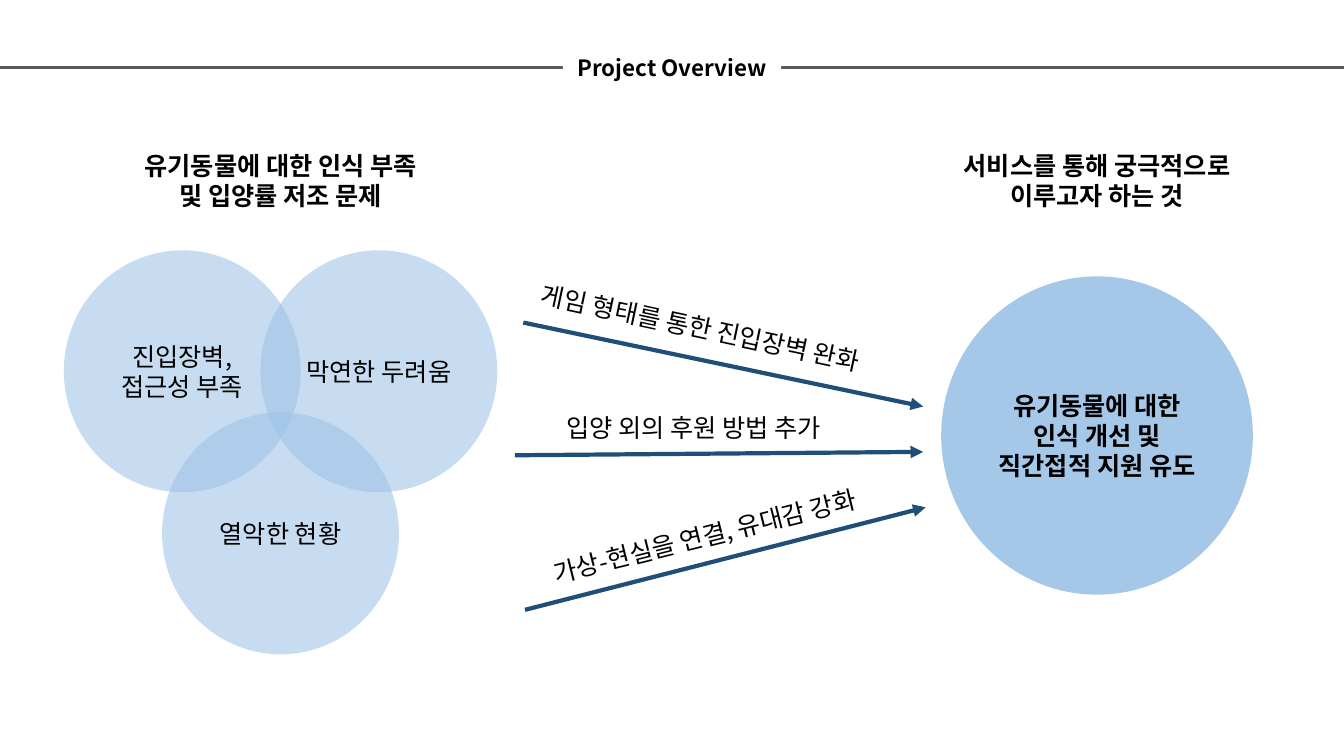
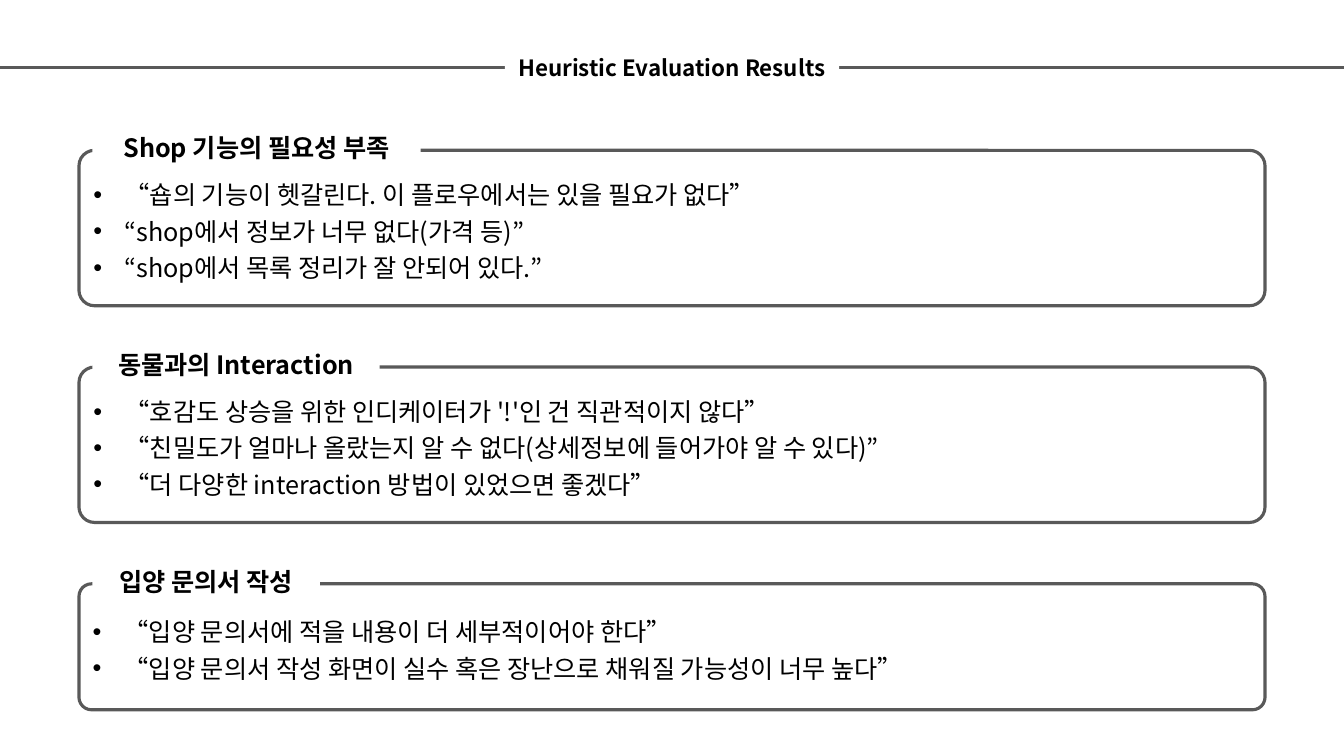
"""Build the project overview and heuristic evaluation slides."""
from dataclasses import dataclass

from lxml import etree
from pptx import Presentation, util as u
from pptx.dml.color import RGBColor
from pptx.enum import dml, shapes, text
from pptx.oxml.ns import qn

COLUMNS, ROWS = 16, 9


@dataclass(frozen=True)
class Theme:
    """Colours, type sizes and line widths shared by the slides."""
    font: str = "Noto Sans CJK KR"
    ink: str = "000000"
    paper: str = "FFFFFF"
    rule: str = "595959"
    circle: str = "9DC3E6"
    arrow: str = "1F4E79"
    title_size: float = 16
    body_size: float = 18
    rule_width: float = 2.25
    arrow_width: float = 3


THEME = Theme()


def grid(cells):
    """Convert square grid cells, 16 by 9 on the slide, to a length."""
    return u.Emu(round(cells * u.Inches(7.5) / ROWS))


def child(parent, tag, **attributes):
    """Append a DrawingML element and return it."""
    return etree.SubElement(parent, qn(tag), attributes)


def paint(shape, fill=None, opacity=100, line=None):
    """Set the fill and outline of a shape."""
    if fill:
        shape.fill.solid()
        shape.fill.fore_color.rgb = RGBColor.from_string(fill)
        if opacity < 100:
            color = shape.fill._xPr.find(qn("a:solidFill"))[0]
            child(color, "a:alpha", val=str(opacity * 1000))
    else:
        shape.fill.background()
    if line:
        shape.line.color.rgb = RGBColor.from_string(line)
        shape.line.width = u.Pt(THEME.rule_width)
    else:
        shape.line.fill.background()


def add_bullet(para):
    """Give a paragraph a hanging bullet and open line spacing."""
    para.line_spacing = 1.2
    properties = para._p.get_or_add_pPr()
    indent = u.Inches(0.31)
    properties.set("marL", str(indent))
    properties.set("indent", str(-indent))
    child(properties, "a:buFont", typeface="Arial")
    child(properties, "a:buChar", char="•")


def write(shape, lines, size=THEME.body_size, bold=False, bullets=False,
          anchor=text.MSO_ANCHOR.TOP):
    """Write one paragraph per line into a shape."""
    frame = shape.text_frame
    frame.word_wrap = True
    frame.auto_size = text.MSO_AUTO_SIZE.NONE
    frame.vertical_anchor = anchor
    for index, line in enumerate(lines):
        para = frame.add_paragraph() if index else frame.paragraphs[0]
        para.alignment = text.PP_ALIGN.LEFT if bullets else text.PP_ALIGN.CENTER
        if bullets:
            add_bullet(para)
        span = para.add_run()
        span.text = line
        span.font.size, span.font.bold = u.Pt(size), bold
        span.font.color.rgb = RGBColor.from_string(THEME.ink)
        span.font.name = THEME.font
        child(span._r.get_or_add_rPr(), "a:ea", typeface=THEME.font)


def add_box(page, kind, left, top, width, height):
    """Add a preset shape without a shadow."""
    box = page.shapes.add_shape(kind, *map(grid, (left, top, width, height)))
    box.shadow.inherit = False
    return box


def add_line(page, start, end, color, width, arrow=False):
    """Add a straight line, with an arrowhead at its end if wanted."""
    line = page.shapes.add_connector(
        shapes.MSO_CONNECTOR.STRAIGHT, *map(grid, (*start, *end)))
    line.line.color.rgb = RGBColor.from_string(color)
    line.line.width = u.Pt(width)
    line.line.dash_style = dml.MSO_LINE.SOLID
    if arrow:
        child(line.line._get_or_add_ln(), "a:tailEnd", type="triangle")
    child(line._element.spPr, "a:effectLst")
    return line


def add_page(deck, title, width):
    """Add a slide whose title interrupts a full-width rule."""
    page = deck.slides.add_slide(deck.slide_layouts[5])
    rule = add_line(page, (0, 0.8), (COLUMNS, 0.8), THEME.rule, THEME.rule_width)
    box = page.shapes.title
    box._element.addprevious(rule._element)
    box.left, box.top = grid((COLUMNS - width) / 2), grid(0.59)
    box.width, box.height = grid(width), grid(0.44)
    paint(box, THEME.paper)
    write(box, [title], THEME.title_size, bold=True)
    return page


def add_circle(page, center, top, width, height, label, opacity, bold=False):
    """Add a translucent circle around a label."""
    circle = add_box(page, shapes.MSO_SHAPE.OVAL,
                     center - width / 2, top, width, height)
    paint(circle, THEME.circle, opacity)
    write(circle, [label], bold=bold, anchor=text.MSO_ANCHOR.MIDDLE)


def add_heading(page, left, top, width, height, lines):
    """Add a bold heading on a white box."""
    heading = add_box(page, shapes.MSO_SHAPE.RECTANGLE, left, top, width, height)
    paint(heading, THEME.paper)
    write(heading, lines, bold=True)


def add_label(page, center, middle, label, rotation):
    """Add an arrow label turned about its centre."""
    width, height = 7.08, 0.48
    box = page.shapes.add_textbox(*map(grid, (
        center - width / 2, middle - height / 2, width, height)))
    box.rotation = rotation
    write(box, [label])


def add_panel(page, top, legend, legend_width, quotes):
    """Add a rounded panel of quotes with a legend on its top edge."""
    panel = add_box(page, shapes.MSO_SHAPE.ROUNDED_RECTANGLE,
                    0.94, top, 14.12, 0.8 + 0.35 * len(quotes))
    panel.adjustments[0] = 0.1
    paint(panel, line=THEME.rule)
    write(panel, quotes, bullets=True, anchor=text.MSO_ANCHOR.MIDDLE)
    add_heading(page, 1.1, top - 0.27, legend_width, 0.48, [legend])


def build_overview(deck):
    """Lead from three overlapping problems to the goal."""
    page = add_page(deck, "Project Overview", 2.6)
    problem, goal, offset = 3.34, 13.06, 1.17
    for center, top, label in (
            (problem - offset, 2.98, "진입장벽, 접근성 부족"),
            (problem + offset, 2.98, "막연한 두려움"),
            (problem, 4.91, "열악한 현황")):
        add_circle(page, center, top, 2.82, 2.88, label, 57)
    add_circle(page, goal, 3.29, 3.71, 3.79,
               "유기동물에 대한 인식 개선 및 직간접적 지원 유도", 90, bold=True)
    for center, lines in (
            (problem, ["유기동물에 대한 인식 부족 및 입양률 저조 문제"]),
            (goal, ["서비스를 통해 궁극적으로", "이루고자 하는 것"])):
        add_heading(page, center - 1.81, 1.73, 3.62, 0.85, lines)
    for start, end, center, middle, rotation, label in (
            ((6.23, 3.84), (10.99, 4.84), 8.34, 3.9, 12,
             "게임 형태를 통한 진입장벽 완화"),
            ((6.13, 5.42), (10.99, 5.38), 8.26, 5.09, 0,
             "입양 외의 후원 방법 추가"),
            ((6.25, 7.26), (11.02, 6.04), 8.39, 6.38, -14,
             "가상-현실을 연결, 유대감 강화")):
        add_line(page, start, end, THEME.arrow, THEME.arrow_width, arrow=True)
        add_label(page, center, middle, label, rotation)


def build_evaluation(deck):
    """Stack the findings in evenly spaced panels."""
    page = add_page(deck, "Heuristic Evaluation Results", 3.98)
    findings = (
        ("Shop 기능의 필요성 부족", 3.91, [
            "“숍의 기능이 헷갈린다. 이 플로우에서는 있을 필요가 없다”",
            "“shop에서 정보가 너무 없다(가격 등)”",
            "“shop에서 목록 정리가 잘 안되어 있다.”"]),
        ("동물과의 Interaction", 3.42, [
            "“호감도 상승을 위한 인디케이터가 '!'인 건 직관적이지 않다”",
            "“친밀도가 얼마나 올랐는지 알 수 없다(상세정보에 들어가야 알 수 있다)”",
            "“더 다양한 interaction 방법이 있었으면 좋겠다”"]),
        ("입양 문의서 작성", 2.71, [
            "“입양 문의서에 적을 내용이 더 세부적이어야 한다”",
            "“입양 문의서 작성 화면이 실수 혹은 장난으로 채워질 가능성이 너무 높다”"]),
    )
    for index, (legend, width, quotes) in enumerate(findings):
        add_panel(page, 1.79 + 2.58 * index, legend, width, quotes)


def main():
    """Build and save the deck."""
    deck = Presentation()
    deck.slide_width, deck.slide_height = grid(COLUMNS), grid(ROWS)
    build_overview(deck)
    build_evaluation(deck)
    deck.save("out.pptx")


if __name__ == "__main__":
    main()
